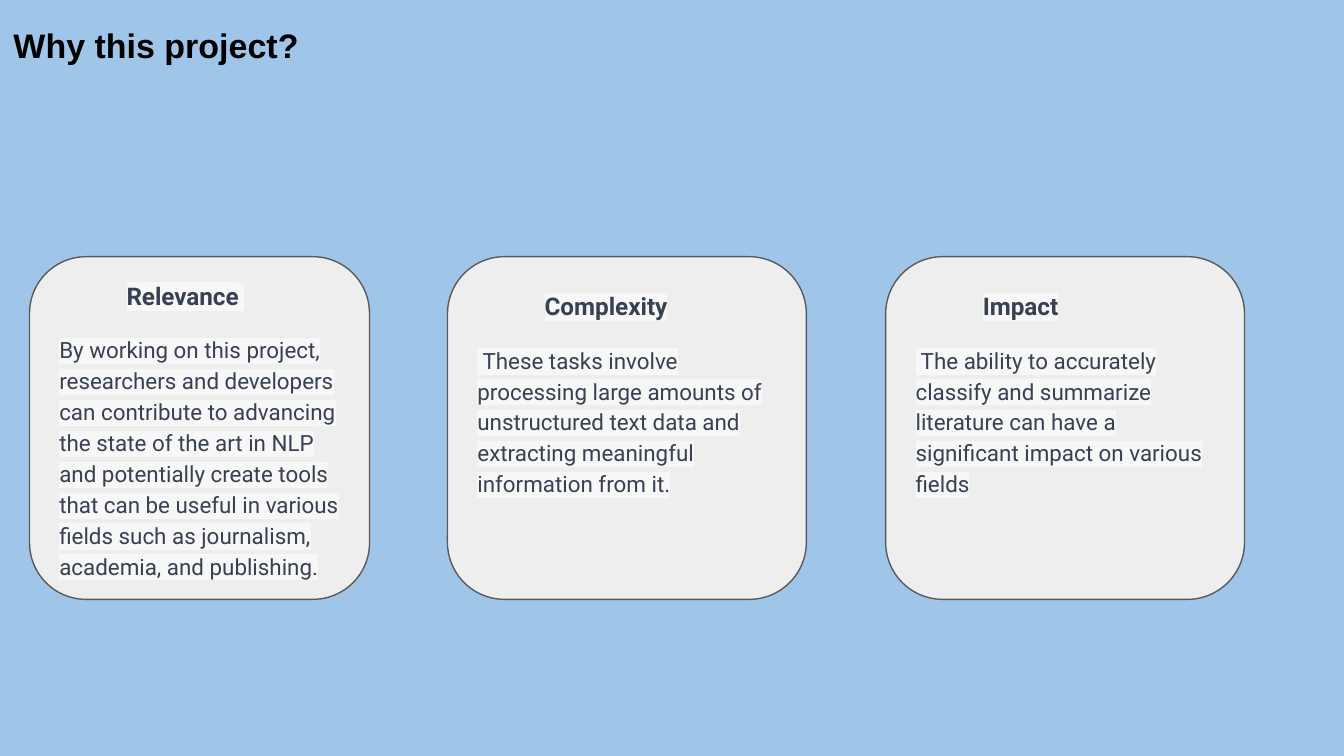
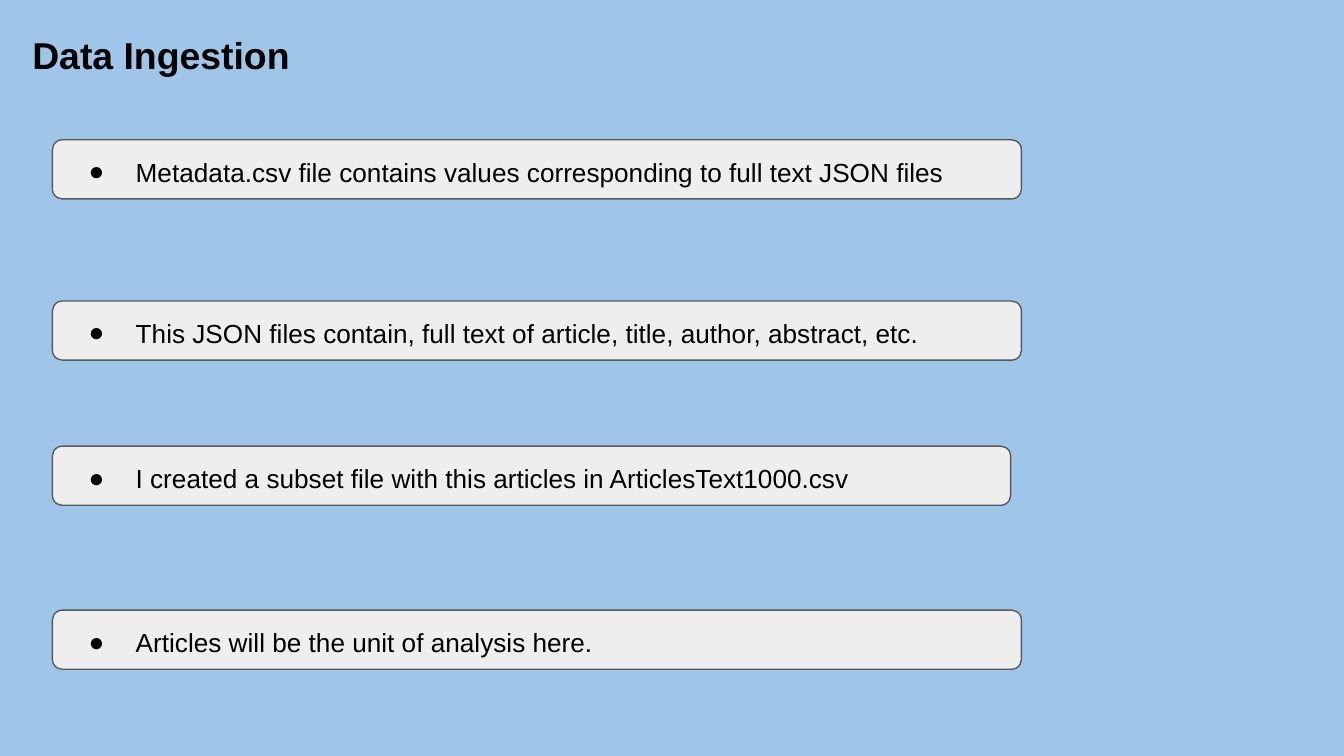
"""Build two project slides: the motivation and the data ingestion steps."""
from dataclasses import dataclass

from lxml import etree
from pptx import Presentation
from pptx import util as u
from pptx.dml.color import RGBColor
from pptx.enum import shapes, text
from pptx.oxml.ns import qn
from pptx.shapes.autoshape import Shape
from pptx.slide import Slide
from pptx.text.text import TextFrame, _Paragraph

COLORS = {
    "sky": "9FC5E8",
    "panel": "EEEEEE",
    "outline": "595959",
    "ink": "000000",
    "slate": "374151",
    "highlight": "F7F7F8",
}
TITLE_ONLY = 5
SLIDE_WIDTH = u.Inches(10)
SLIDE_HEIGHT = SLIDE_WIDTH * 9 // 16
INSET = u.Inches(0.1)
CARD_TOP, CARD_HEIGHT = 1.91, 2.55
BAR_LEFT, BAR_HEIGHT = 0.39, 0.44


@dataclass(frozen=True)
class Box:
    """Place and size in inches."""
    left: float
    top: float
    width: float
    height: float


@dataclass(frozen=True)
class Style:
    """Look of a text run."""
    font: str
    size: float
    color: str
    bold: bool = False
    highlight: str | None = None


@dataclass(frozen=True)
class Card:
    """Reason with a heading and an explanation."""
    left: float
    width: float
    heading: str
    body: str
    anchor: text.MSO_ANCHOR = text.MSO_ANCHOR.TOP
    heading_tail: str = ""


@dataclass(frozen=True)
class Bar:
    """Single bulleted statement."""
    top: float
    statement: str
    width: float = 7.21


HEADING = Style("Roboto", 13, "slate", True, "highlight")
HEADING_TAIL = Style("Roboto", 12, "slate", True, "highlight")
BODY = Style("Roboto", 12, "slate", False, "highlight")
STATEMENT = Style("Arial", 14, "ink")

CARDS = [
    Card(0.22, 2.53, "Relevance",
         "By working on this project, researchers and developers can contribute to "
         "advancing the state of the art in NLP and potentially create tools that can "
         "be useful in various fields such as journalism, academia, and publishing.",
         text.MSO_ANCHOR.MIDDLE, " "),
    Card(3.33, 2.67, "Complexity",
         " These tasks involve processing large amounts of unstructured text data and "
         "extracting meaningful information from it."),
    Card(6.59, 2.67, "Impact",
         " The ability to accurately classify and summarize literature can have a "
         "significant impact on various fields"),
]
BARS = [
    Bar(1.04, "Metadata.csv file contains values corresponding to full text JSON files"),
    Bar(2.24, "This JSON files contain, full text of article, title, author, abstract, etc."),
    Bar(3.32, "I created a subset file with this articles in ArticlesText1000.csv", 7.13),
    Bar(4.54, "Articles will be the unit of analysis here."),
]


def rgb(name: str) -> RGBColor:
    """Look up a palette colour."""
    return RGBColor.from_string(COLORS[name])


def add_color(parent: etree._Element, tag: str, name: str) -> etree._Element:
    """Append a colour-holding element to the parent."""
    holder = etree.SubElement(parent, qn(tag))
    etree.SubElement(holder, qn("a:srgbClr"), val=COLORS[name])
    return holder


def add_run(paragraph: _Paragraph, wording: str, style: Style) -> None:
    """Append one styled run."""
    run = paragraph.add_run()
    run.text = wording
    font = run.font
    font.size, font.bold = u.Pt(style.size), style.bold
    font.color.rgb = rgb(style.color)
    font.name = style.font
    if style.highlight:
        properties = run._r.get_or_add_rPr()
        marker = add_color(properties, "a:highlight", style.highlight)
        properties.find(qn("a:solidFill")).addnext(marker)


def set_frame(frame: TextFrame, anchor: text.MSO_ANCHOR) -> None:
    """Apply the common insets, wrapping and anchor."""
    frame.margin_left = frame.margin_right = INSET
    frame.margin_top = frame.margin_bottom = INSET
    frame.auto_size = text.MSO_AUTO_SIZE.NONE
    frame.word_wrap = True
    frame.vertical_anchor = anchor


def format_paragraph(paragraph: _Paragraph, margin: float = 0, indent: float = 0) -> None:
    """Set left alignment, line spacing and indents."""
    paragraph.alignment = text.PP_ALIGN.LEFT
    paragraph.line_spacing = 1.15
    properties = paragraph._p.get_or_add_pPr()
    properties.set("marL", str(u.Inches(margin)))
    properties.set("indent", str(u.Inches(indent)))


def add_bullet(paragraph: _Paragraph) -> None:
    """Give the paragraph a round bullet."""
    properties = paragraph._p.get_or_add_pPr()
    add_color(properties, "a:buClr", "ink")
    etree.SubElement(properties, qn("a:buFont"), typeface="Arial")
    etree.SubElement(properties, qn("a:buChar"), char="●")


def add_titled_slide(deck: Presentation, title: str, box: Box, size: float) -> Slide:
    """Add a slide and format its title."""
    slide = deck.slides.add_slide(deck.slide_layouts[TITLE_ONLY])
    heading = slide.shapes.title
    heading.left, heading.top = u.Inches(box.left), u.Inches(box.top)
    heading.width, heading.height = u.Inches(box.width), u.Inches(box.height)
    heading.fill.solid()
    heading.fill.fore_color.rgb = rgb("sky")
    set_frame(heading.text_frame, text.MSO_ANCHOR.TOP)
    paragraph = heading.text_frame.paragraphs[0]
    paragraph.alignment = text.PP_ALIGN.LEFT
    add_run(paragraph, title, Style("Arial", size, "ink", True))
    return slide


def add_panel(slide: Slide, box: Box, anchor: text.MSO_ANCHOR) -> Shape:
    """Draw an outlined rounded panel."""
    panel = slide.shapes.add_shape(
        shapes.MSO_SHAPE.ROUNDED_RECTANGLE,
        u.Inches(box.left), u.Inches(box.top), u.Inches(box.width), u.Inches(box.height))
    panel.shadow.inherit = False
    panel.fill.solid()
    panel.fill.fore_color.rgb = rgb("panel")
    panel.line.color.rgb = rgb("outline")
    panel.line.width = u.Pt(0.75)
    set_frame(panel.text_frame, anchor)
    return panel


def add_card(slide: Slide, card: Card) -> None:
    """Draw a reason card."""
    box = Box(card.left, CARD_TOP, card.width, CARD_HEIGHT)
    frame = add_panel(slide, box, card.anchor).text_frame
    heading = frame.paragraphs[0]
    format_paragraph(heading, indent=0.5)
    add_run(heading, card.heading, HEADING)
    if card.heading_tail:
        add_run(heading, card.heading_tail, HEADING_TAIL)
    body = frame.add_paragraph()
    format_paragraph(body)
    body.space_before = body.space_after = u.Pt(12)
    add_run(body, card.body, BODY)


def add_bar(slide: Slide, bar: Bar) -> None:
    """Draw a bulleted statement bar."""
    box = Box(BAR_LEFT, bar.top, bar.width, BAR_HEIGHT)
    statement = add_panel(slide, box, text.MSO_ANCHOR.MIDDLE).text_frame.paragraphs[0]
    format_paragraph(statement, margin=0.5, indent=-0.35)
    add_bullet(statement)
    add_run(statement, bar.statement, STATEMENT)


def main() -> None:
    """Build and save the deck."""
    deck = Presentation()
    deck.slide_width, deck.slide_height = SLIDE_WIDTH, SLIDE_HEIGHT
    backdrop = deck.slide_master.background.fill
    backdrop.solid()
    backdrop.fore_color.rgb = rgb("sky")

    motivation = add_titled_slide(deck, "Why this project?", Box(0, 0.08, 9.37, 0.76), 18.2)
    for card in CARDS:
        add_card(motivation, card)

    ingestion = add_titled_slide(deck, "Data Ingestion", Box(0.14, 0.14, 7.9, 0.54), 20)
    for bar in BARS:
        add_bar(ingestion, bar)

    deck.save("out.pptx")


if __name__ == "__main__":
    main()
